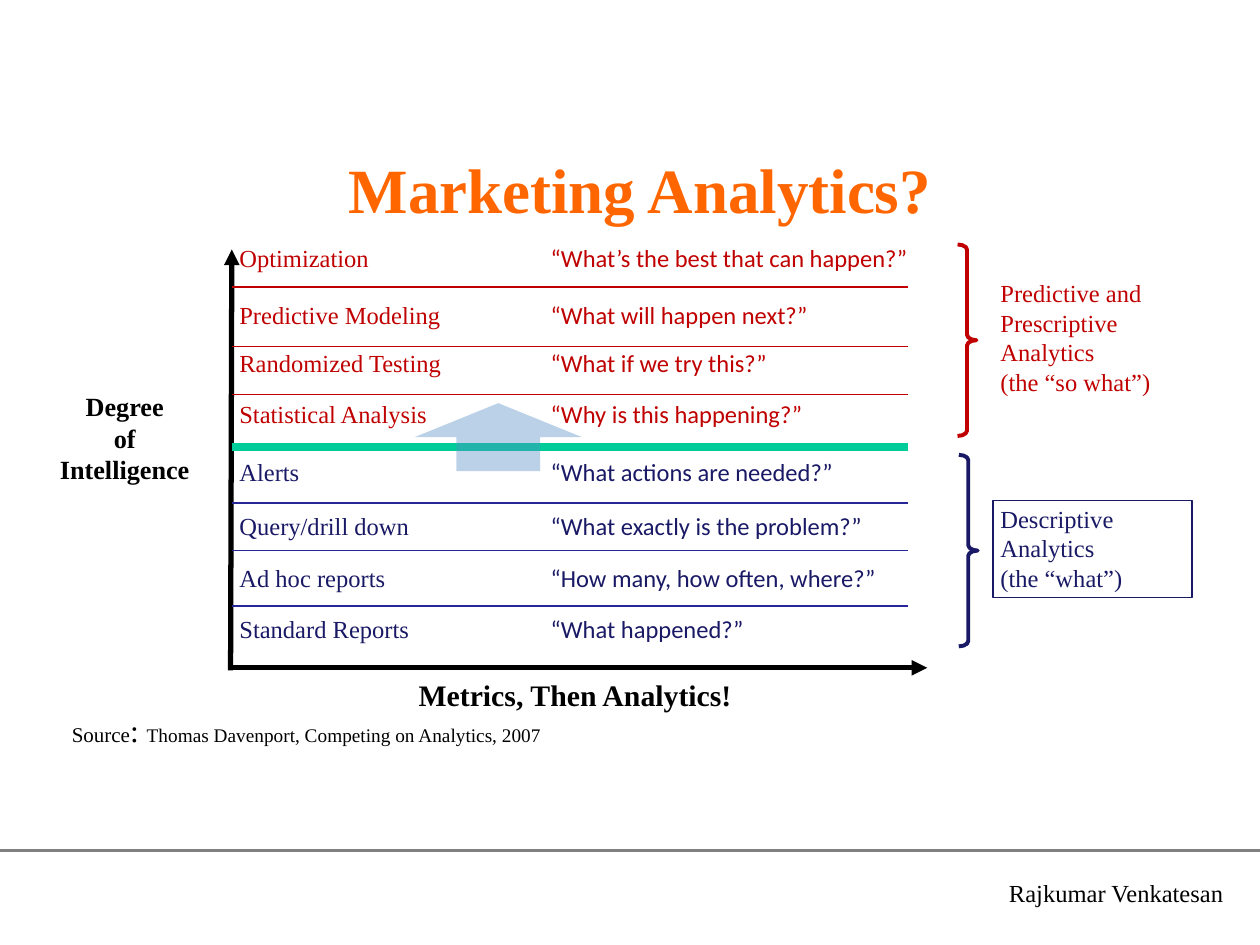
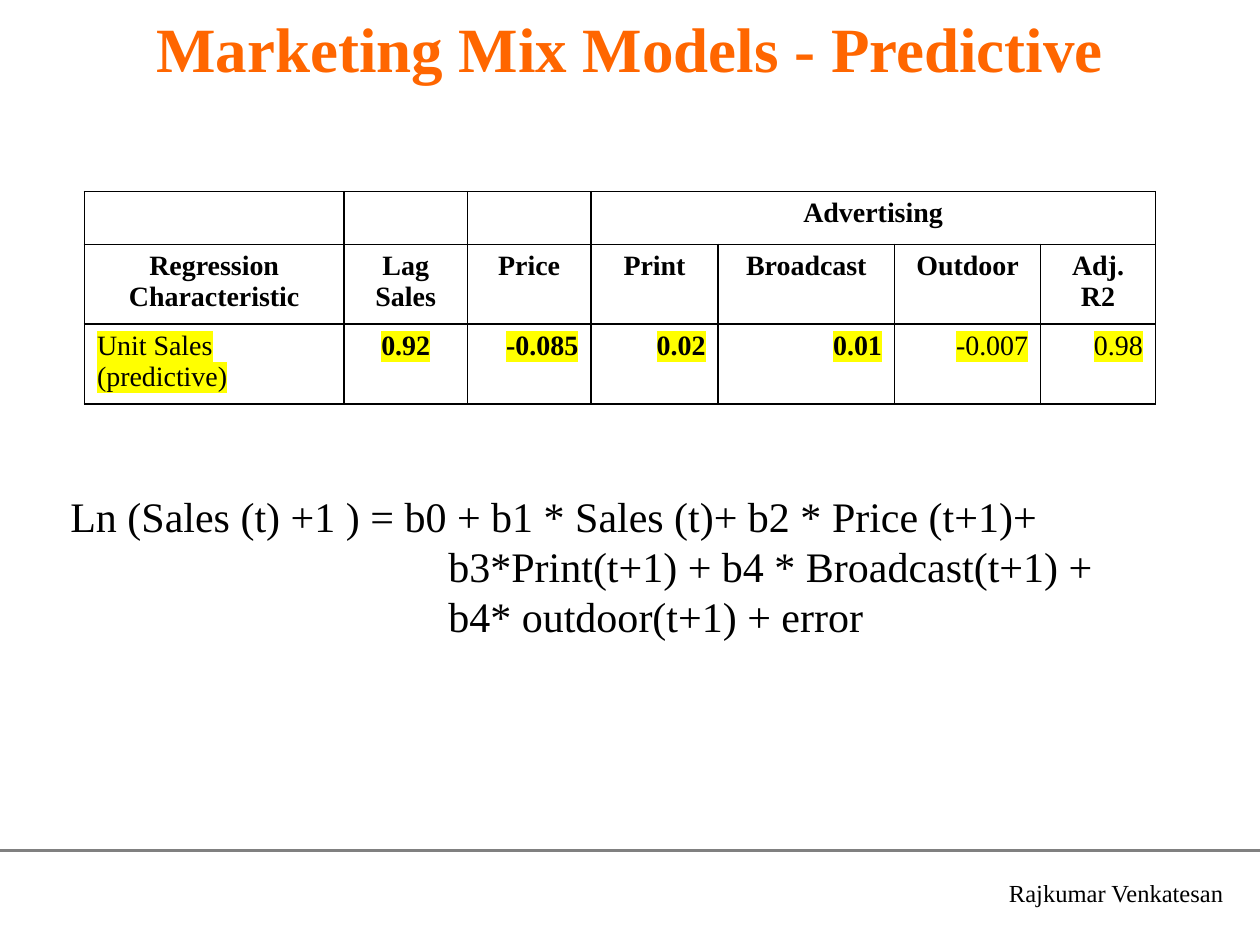
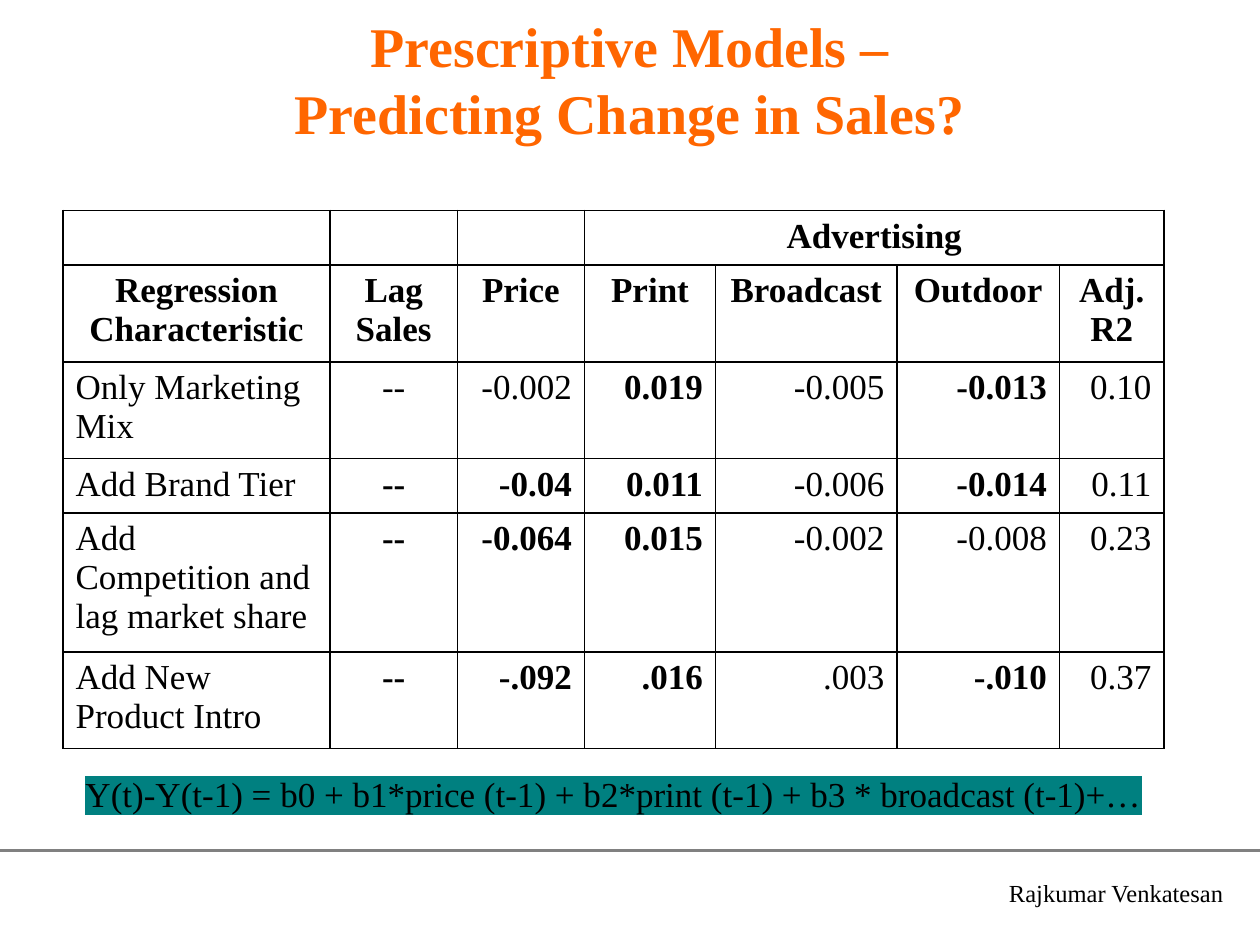
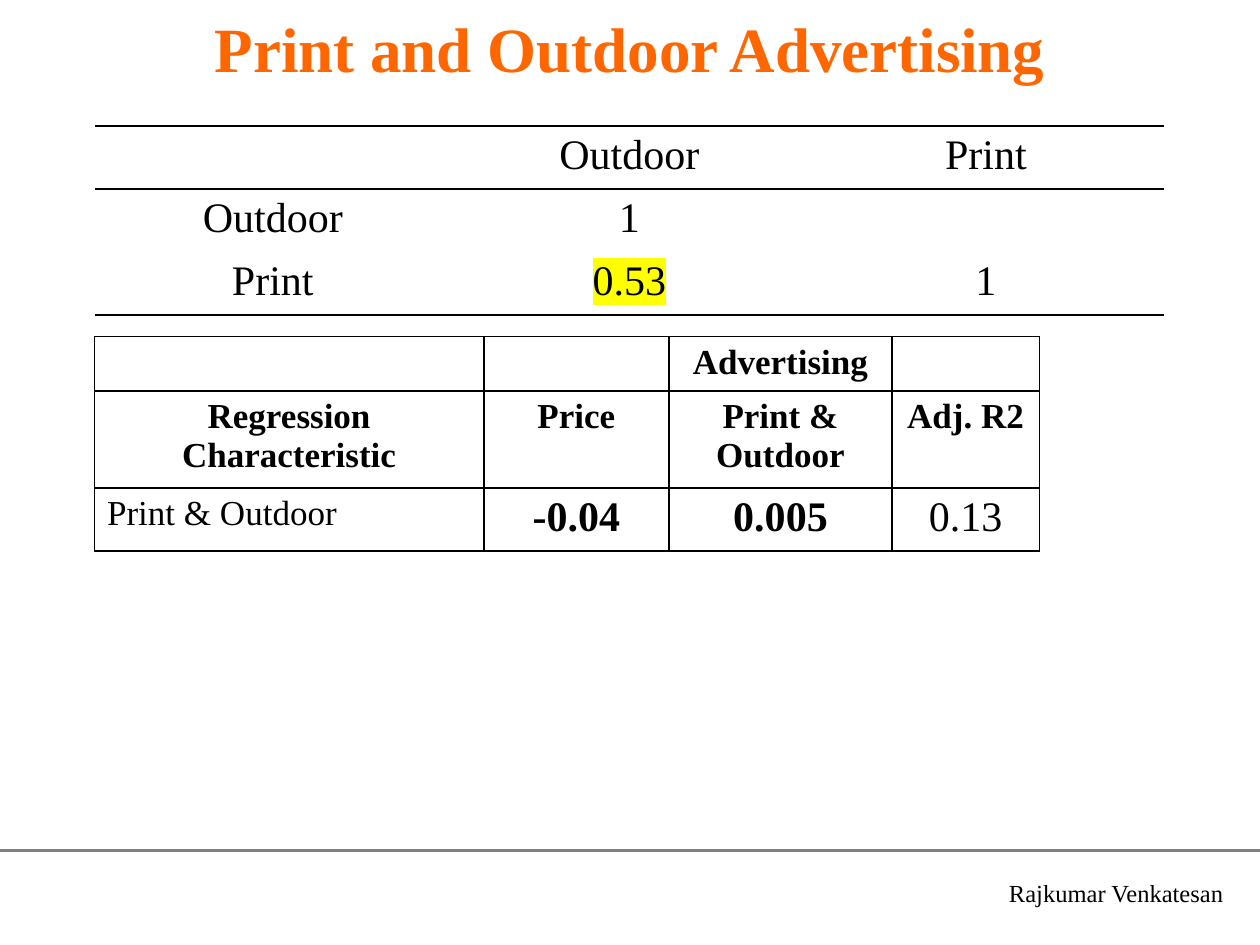
"""Build four slides on marketing analytics and marketing mix models."""
from lxml.etree import SubElement
from pptx import Presentation
from pptx.dml.color import RGBColor
from pptx.enum.shapes import MSO_CONNECTOR, MSO_SHAPE
from pptx.enum.text import MSO_ANCHOR, MSO_AUTO_SIZE, PP_ALIGN
from pptx.oxml.ns import qn
from pptx.util import Inches, Pt

BLACK = RGBColor(0x00, 0x00, 0x00)
WHITE = RGBColor(0xFF, 0xFF, 0xFF)
GRAY = RGBColor(0x80, 0x80, 0x80)
ORANGE = RGBColor(0xFF, 0x66, 0x00)
RED = RGBColor(0xC0, 0x00, 0x00)
NAVY = RGBColor(0x19, 0x19, 0x66)
INDIGO = RGBColor(0x26, 0x26, 0x99)
GREEN = RGBColor(0x00, 0xCC, 0x99)
BLUE = RGBColor(0x55, 0x8E, 0xC7)
YELLOW = RGBColor(0xFF, 0xFF, 0x00)
TEAL = RGBColor(0x00, 0x80, 0x80)

SERIF = "Times New Roman"
SANS = "Calibri"
SNUG = (0.06, 0.03)
ALIGNMENTS = {"l": PP_ALIGN.LEFT, "c": PP_ALIGN.CENTER, "r": PP_ALIGN.RIGHT}

ADVERTISING_HEADER = [
    ["", "", "", "Advertising", "", "", ""],
    ["Regression\nCharacteristic", "Lag Sales", "Price", "Print", "Broadcast", "Outdoor", "Adj. R2"],
]
LADDER = [
    (1.9, RED, "Optimization", 2.04, "“What’s the best that can happen?”", 3.22),
    (2.35, RED, "Predictive Modeling", 2.56, "“What will happen next?”", 2.47),
    (2.73, RED, "Randomized Testing", 3.24, "“What if we try this?”", 3.23),
    (3.14, RED, "Statistical Analysis", 2.74, "“Why is this happening?”", 2.45),
    (3.6, NAVY, "Alerts", 2.05, "“What actions are needed?”", 2.76),
    (4.03, NAVY, "Query/drill down", 2.61, "“What exactly is the problem?”", 2.73),
    (4.44, NAVY, "Ad hoc reports", 2.05, "“How many, how often, where?”", 3.29),
    (4.84, NAVY, "Standard Reports", 2.49, "“What happened?”", 2.47),
]
SEPARATORS = [
    (2.28, RED, 1), (2.75, RED, 1), (3.13, RED, 1), (3.55, GREEN, 4.5),
    (3.99, INDIGO, 1), (4.37, INDIGO, 1), (4.81, INDIGO, 1),
]


def add_span(para, text, size=14, color=BLACK, font=SERIF, bold=False, highlight=None):
    """Append one formatted run to a paragraph."""
    span = para.add_run()
    span.text = text
    span.font.size = Pt(size)
    span.font.bold = bold
    span.font.color.rgb = color
    span.font.name = font
    if highlight is not None:
        fill = span.font.fill._xPr.find(qn("a:solidFill"))
        mark = SubElement(fill.getparent(), qn("a:highlight"))
        SubElement(mark, qn("a:srgbClr"), val=str(highlight))
        fill.addnext(mark)


def write_text(frame, text, align="l", **style):
    """Fill a text frame, one paragraph per line and a break per vertical tab."""
    for number, line in enumerate(text.split("\n")):
        para = frame.add_paragraph() if number else frame.paragraphs[0]
        para.alignment = ALIGNMENTS[align]
        for part_number, part in enumerate(line.split("\v")):
            if part_number:
                para.add_line_break()
            add_span(para, part, **style)


def set_frame(frame, insets=(0.1, 0.05), wrap=True, grow=True, anchor=MSO_ANCHOR.TOP):
    """Set wrapping, margins, anchor and growth of a text frame."""
    frame.word_wrap = wrap
    frame.margin_left = frame.margin_right = Inches(insets[0])
    frame.margin_top = frame.margin_bottom = Inches(insets[1])
    frame.vertical_anchor = anchor
    frame.auto_size = MSO_AUTO_SIZE.SHAPE_TO_FIT_TEXT if grow else MSO_AUTO_SIZE.NONE


def add_text(page, place, text, insets=(0.1, 0.05), wrap=True, grow=True,
             anchor=MSO_ANCHOR.TOP, **style):
    """Add a text box and return its frame."""
    frame = page.shapes.add_textbox(*map(Inches, place)).text_frame
    set_frame(frame, insets, wrap, grow, anchor)
    write_text(frame, text, **style)
    return frame


def add_shape(page, kind, place, fill=None, line=None, width=1):
    """Add a preset shape with an optional fill and outline."""
    shape = page.shapes.add_shape(kind, *map(Inches, place))
    shape.shadow.inherit = False
    if fill is None:
        shape.fill.background()
    else:
        shape.fill.solid()
        shape.fill.fore_color.rgb = fill
    if line is None:
        shape.line.fill.background()
    else:
        shape.line.color.rgb = line
        shape.line.width = Pt(width)
    return shape


def add_line(page, start, end, color, width, arrow=False):
    """Add a straight line, with an arrowhead at its end if asked."""
    line = page.shapes.add_connector(MSO_CONNECTOR.STRAIGHT, *map(Inches, start + end))
    line.line.color.rgb = color
    line.line.width = Pt(width)
    if arrow:
        SubElement(line.line._get_or_add_ln(), qn("a:tailEnd"), type="triangle")
    SubElement(line._element.spPr, qn("a:effectLst"))


def add_brace(page, left, top, color):
    """Add a right brace that spans one half of the ladder."""
    brace = add_shape(page, MSO_SHAPE.RIGHT_BRACE, (left, top, 0.15, 1.52), line=color, width=2.25)
    brace.adjustments[0] = 0.28


def add_caption(page, place, text, color, outline=None):
    """Add a white box that names one half of the ladder."""
    box = add_shape(page, MSO_SHAPE.RECTANGLE, place, WHITE, outline, 0.75)
    set_frame(box.text_frame, SNUG)
    write_text(box.text_frame, text, color=color)


def set_borders(cell, sides):
    """Rule the given sides of a cell and clear the others."""
    properties = cell._tc.get_or_add_tcPr()
    for side in "LRTB":
        border = SubElement(properties, qn(f"a:ln{side}"), w=str(Pt(1)))
        if side in sides:
            fill = SubElement(border, qn("a:solidFill"))
            SubElement(fill, qn("a:srgbClr"), val=str(BLACK))
        else:
            SubElement(border, qn("a:noFill"))


def add_grid(page, place, rows, widths, aligns, size, number_size=None, header_rows=2,
             row_height=0.42, row_sides=None, highlights=None):
    """Add a table; a leading asterisk makes a body cell bold."""
    frame = page.shapes.add_table(len(rows), len(widths), *map(Inches, place))
    table = frame.table
    table.first_row = table.horz_banding = False
    for column, width in zip(table.columns, widths):
        column.width = Inches(width)
    for r, values in enumerate(rows):
        table.rows[r].height = Inches(row_height)
        header = r < header_rows
        for c, value in enumerate(values):
            cell = table.cell(r, c)
            set_borders(cell, row_sides[r] if row_sides else "LRTB")
            cell.fill.background()
            if value:
                write_text(
                    cell.text_frame, value.lstrip("*"),
                    align="c" if header else aligns[c],
                    size=number_size if number_size and c and not header else size,
                    bold=header or value.startswith("*"),
                    highlight=YELLOW if highlights and (r, c) in highlights else None)
    frame.height = Inches(place[3])
    return table


def add_page(deck, title, place=(0.75, 0, 8.5, 0.75), size=36):
    """Add a blank slide with the shared footer and title style."""
    page = deck.slides.add_slide(deck.slide_layouts[6])
    add_text(page, (7.91, 6.92, 1.93, 0.33), "Rajkumar Venkatesan", wrap=False)
    add_line(page, (0, 6.75), (10, 6.75), GRAY, 2.25)
    add_text(page, place, title, grow=False, anchor=MSO_ANCHOR.MIDDLE,
             align="c", size=size, color=ORANGE, bold=True)
    return page


def build_ladder(deck):
    """Build the slide on degrees of intelligence."""
    page = add_page(deck, "Marketing Analytics?", (0.95, 1.23, 8.26, 0.53))
    source = add_text(page, (0.5, 5.6, 9, 0.38), "Source", insets=(0.07, 0.04), size=12)
    add_span(source.paragraphs[0], ": ", size=18)
    add_span(source.paragraphs[0], "Thomas Davenport, Competing on Analytics, 2007", size=11)

    add_line(page, (1.82, 5.3), (7.36, 5.3), BLACK, 3, arrow=True)
    add_line(page, (1.83, 5.32), (1.84, 1.98), BLACK, 3, arrow=True)
    add_text(page, (0.28, 3.07, 1.42, 0.82), "Degree\nof\nIntelligence",
             insets=SNUG, align="c", size=15, bold=True)
    add_text(page, (1.84, 5.34, 5.45, 0.35), "Metrics, Then Analytics!",
             insets=SNUG, align="c", size=17, bold=True)

    add_brace(page, 7.6, 1.94, RED)
    add_brace(page, 7.61, 3.61, NAVY)
    add_caption(page, (7.88, 2.18, 1.62, 1),
                "Predictive and Prescriptive Analytics\n(the “so what”)", RED)
    add_caption(page, (7.88, 3.97, 1.58, 0.77), "Descriptive Analytics\n(the “what”)", NAVY, NAVY)

    for top, color, method, method_width, question, question_width in LADDER:
        add_text(page, (1.84, top, method_width, 0.3), method, insets=SNUG, color=color)
        add_text(page, (4.31, top, question_width, 0.3), question,
                 insets=SNUG, color=color, font=SANS)
    for top, color, width in SEPARATORS:
        add_line(page, (1.84, top), (7.21, top), color, width)

    arrow = add_shape(page, MSO_SHAPE.UP_ARROW, (3.29, 3.2, 1.33, 0.54), BLUE)
    tint = arrow._element.spPr.find(qn("a:solidFill"))[0]
    SubElement(tint, qn("a:alpha"), val="40000")


def build_predictive(deck):
    """Build the slide on the predictive model."""
    page = add_page(deck, "Marketing Mix Models - Predictive")
    rows = ADVERTISING_HEADER + [
        ["Unit Sales (predictive)", "*0.92", "*-0.085", "*0.02", "*0.01", "-0.007", "0.98"],
    ]
    table = add_grid(page, (0.67, 1.52, 8.5, 1.69), rows,
                     [2.06, 0.98, 0.98, 1.01, 1.4, 1.16, 0.91], "lcrrrrr", 16,
                     highlights={(2, c) for c in range(7)})
    table.cell(0, 3).merge(table.cell(0, 6))
    equation = add_text(
        page, (0.46, 3.84, 8.79, 1.31),
        "Ln (Sales (t) +1 ) = b0 + b1 * Sales (t)+ b2 * Price (t+1)+\n"
        "b3*Print(t+1) + b4 * Broadcast(t+1) +\n"
        "b4* outdoor(t+1) + error", size=24)
    for para in equation.paragraphs[1:]:
        para._p.get_or_add_pPr().set("marL", str(Inches(3)))


def build_prescriptive(deck):
    """Build the slide on the prescriptive models."""
    page = add_page(deck, "Prescriptive Models –\vPredicting Change in Sales?",
                    (0.75, 0.25, 8.5, 0.75), 32)
    rows = ADVERTISING_HEADER + [
        ["Only Marketing Mix", "--", "-0.002", "*0.019", "-0.005", "*-0.013", "0.10"],
        ["Add Brand Tier", "*--", "*-0.04", "*0.011", "-0.006", "*-0.014", "0.11"],
        ["Add Competition and lag market share", "*--", "*-0.064", "*0.015", "-0.002", "-0.008", "0.23"],
        ["Add New Product Intro", "*--", "*-.092", "*.016", ".003", "*-.010", "0.37"],
    ]
    table = add_grid(page, (0.5, 1.67, 8.75, 4.27), rows,
                     [2.12, 1.01, 1.01, 1.04, 1.44, 1.29, 0.83], "lcrrrrr", 20)
    table.cell(0, 3).merge(table.cell(0, 6))
    add_text(page, (0.58, 6.08, 9.25, 0.44),
             "Y(t)-Y(t-1) = b0 + b1*price (t-1) + b2*print (t-1) + b3 * broadcast (t-1)+…",
             size=20, highlight=TEAL)


def build_print_outdoor(deck):
    """Build the slide on print and outdoor advertising."""
    page = add_page(deck, "Print and Outdoor Advertising")
    correlations = [["", "Outdoor", "Print"], ["Outdoor", "1", ""], ["Print", "0.53", "1"]]
    add_grid(page, (0.75, 1, 8.5, 1.22), correlations, [2.83] * 3, "ccc", 24,
             header_rows=0, row_height=0.41, row_sides=["TB", "T", "B"], highlights={(2, 1)})
    regression = [
        ["", "", "Advertising", ""],
        ["Regression\nCharacteristic", "Price", "Print &\nOutdoor", "Adj. R2"],
        ["Print & Outdoor", "*-0.04", "*0.005", "0.13"],
    ]
    add_grid(page, (0.75, 2.67, 7.5, 1.63), regression, [3.09, 1.47, 1.77, 1.17],
             "lccc", 20, number_size=24)


def main():
    """Build and save the deck."""
    deck = Presentation()
    deck.slide_width, deck.slide_height = Inches(10), Inches(7.5)
    build_ladder(deck)
    build_predictive(deck)
    build_prescriptive(deck)
    build_print_outdoor(deck)
    deck.save("out.pptx")


if __name__ == "__main__":
    main()
